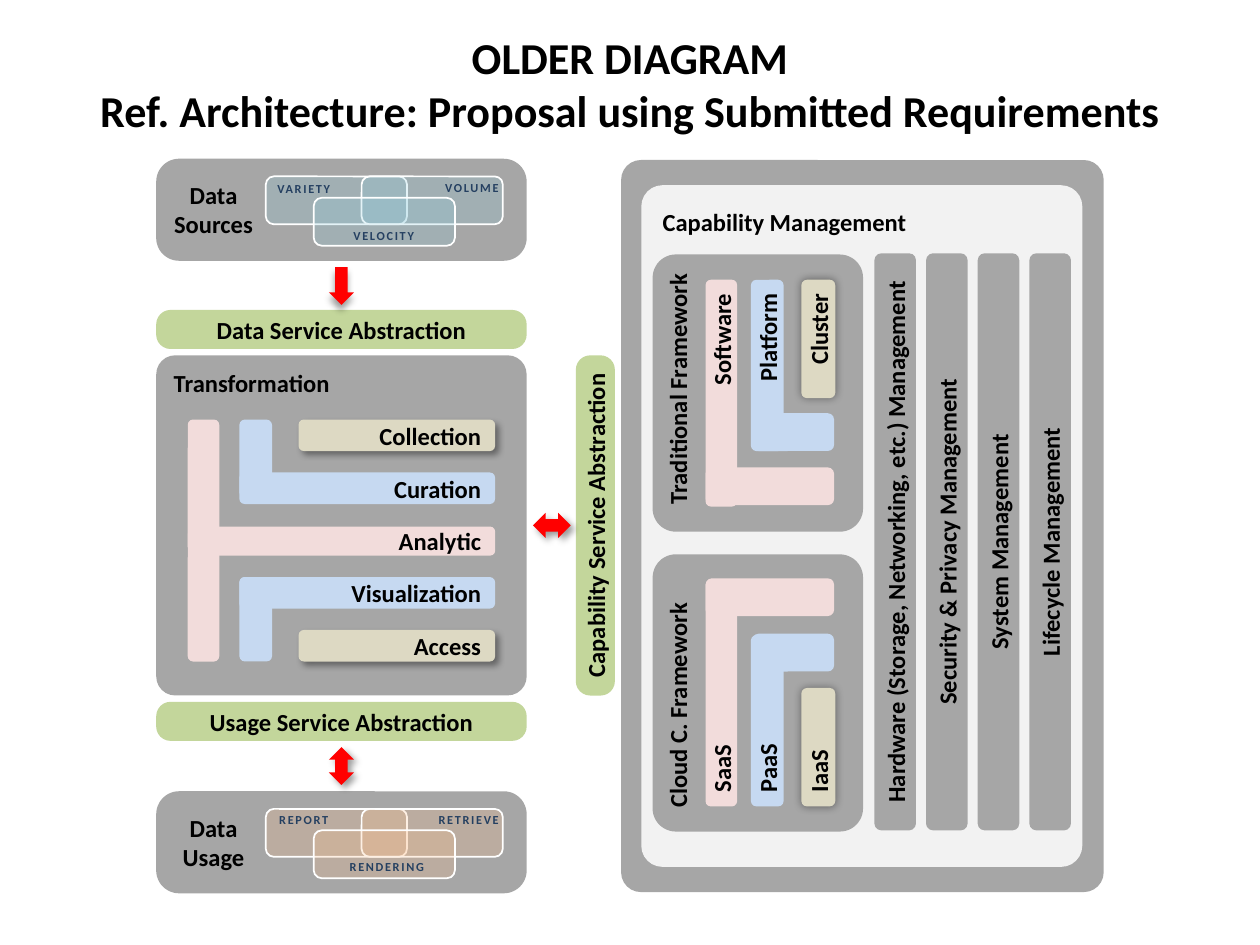
"""Build the reference architecture slide."""
from lxml import etree
from pptx import Presentation
from pptx.dml.color import RGBColor
from pptx.enum.shapes import MSO_SHAPE as Kind
from pptx.enum.text import MSO_ANCHOR as Anchor, PP_ALIGN as Align
from pptx.oxml.ns import qn
from pptx.util import Inches, Pt

BLACK = RGBColor(0, 0, 0)
WHITE = RGBColor(255, 255, 255)
NAVY = RGBColor(0x25, 0x40, 0x61)
GRAY = RGBColor(0xA6, 0xA6, 0xA6)
PALE = RGBColor(0xF2, 0xF2, 0xF2)
GREEN = RGBColor(0xC3, 0xD6, 0x9B)
PINK = RGBColor(0xF2, 0xDC, 0xDB)
BLUE = RGBColor(0xC6, 0xD9, 0xF1)
TAN = RGBColor(0xDD, 0xD9, 0xC3)
RED = RGBColor(255, 0, 0)
TEAL = RGBColor(0x93, 0xCD, 0xDD)
PEACH = RGBColor(0xFA, 0xC0, 0x90)


class Board:
    """Hold the text style and the slide being drawn."""

    font = "Calibri"
    size = 14

    def __init__(self, slide):
        self.slide = slide

    def place(self, at, turn):
        x, y, w, h = at
        if turn:
            x, y, w, h = x + (w - h) / 2, y + (h - w) / 2, h, w
        return [Inches(n) for n in (x, y, w, h)]

    def letter(self, shape, text, align, size=None, color=BLACK, gap=0):
        frame = shape.text_frame
        frame.text = text
        for para in frame.paragraphs:
            para.alignment = align
            font = para.font
            font.name, font.size = self.font, Pt(size or self.size)
            font.bold, font.color.rgb = True, color
            if gap:
                for run in para.runs:
                    run._r.get_or_add_rPr().set("spc", str(gap))

    def box(self, at, fill, text="", align=Align.CENTER, turn=False,
            round=None, kind=Kind.ROUNDED_RECTANGLE, shade=None):
        shape = self.slide.shapes.add_shape(kind, *self.place(at, turn))
        shape.rotation = 270 if turn else 0
        if round:
            shape.adjustments[0] = round
        shape.fill.solid()
        shape.fill.fore_color.rgb = fill
        shape.line.fill.background()
        shape.shadow.inherit = False
        if shade:
            self.shade(shape, *shade)
        if text:
            shape.text_frame.word_wrap = True
            shape.text_frame.vertical_anchor = Anchor.MIDDLE
            self.letter(shape, text, align)
        return shape

    def shade(self, shape, blur, far, angle):
        effects = shape._element.spPr.find(qn("a:effectLst"))
        cast = etree.SubElement(
            effects, qn("a:outerShdw"), blurRad=str(Pt(blur)),
            dist=str(Pt(far)), dir=str(angle * 60000), rotWithShape="0")
        color = etree.SubElement(cast, qn("a:srgbClr"), val=str(BLACK))
        etree.SubElement(color, qn("a:alpha"), val="40000")

    def label(self, at, text, align=Align.LEFT, turn=False, wrap=True, **style):
        shape = self.slide.shapes.add_textbox(*self.place(at, turn))
        shape.rotation = 270 if turn else 0
        shape.text_frame.word_wrap = wrap
        self.letter(shape, text, align, **style)
        return shape

    def tag(self, at, text):
        shape = self.label(at, text, Align.CENTER, size=7, color=NAVY, gap=100)
        shape.text_frame.margin_left = Inches(0.05)
        shape.text_frame.margin_right = 0

    def lens(self, at, fill):
        shape = self.box(at, fill, kind=Kind.FLOWCHART_ALTERNATE_PROCESS)
        color = shape._element.spPr.find(qn("a:solidFill"))[0]
        etree.SubElement(color, qn("a:alpha"), val="25000")
        shape.line.color.rgb = WHITE
        shape.line.width = Pt(1)

    def data(self, top, name, fill, tags):
        self.box((1.24, top, 2.94, 0.81), GRAY, round=0.224)
        self.label((1.28, top + 0.12, 0.83, 0.57), name, Align.CENTER)
        for x, y in ((2.11, 0.14), (2.87, 0.14), (2.49, 0.31)):
            self.lens((x, top + y, 1.12, 0.38), fill)
        for x, y, w, text in tags:
            self.tag((x, top + y, w, 0.28), text)


deck = Presentation()
deck.slide_width, deck.slide_height = Inches(10), Inches(7.5)
board = Board(deck.slides.add_slide(deck.slide_layouts[6]))
DROP = (4, 3, 45)
GLOW = (5, 0, 0)

title = board.label((0.21, 0.25, 9.58, 0.83),
                    "OLDER DIAGRAM\vRef. Architecture: Proposal using "
                    "Submitted Requirements", Align.CENTER, size=25.2)
title.text_frame.vertical_anchor = Anchor.MIDDLE

board.data(1.26, "Data\nSources", TEAL, (
    (3.47, 0.12, 0.5, "VOLUME"), (2.09, 0.13, 0.59, "VARIETY"),
    (2.71, 0.5, 0.62, "VELOCITY")))
board.data(6.28, "Data\nUsage", PEACH, (
    (3.41, 0.12, 0.57, "RETRIEVE"), (2.09, 0.12, 0.59, "REPORT"),
    (2.68, 0.49, 0.73, "RENDERING")))

board.box((1.24, 2.82, 2.94, 2.7), GRAY, round=0.056)
board.label((1.28, 2.87, 1.45, 0.34), "Transformation", wrap=False)
for at, fill in (((1.9, 3.33, 0.26, 0.62), BLUE),
                 ((1.49, 3.33, 0.25, 1.05), PINK),
                 ((1.49, 4.2, 0.25, 1.05), PINK),
                 ((1.9, 4.58, 0.26, 0.67), BLUE)):
    board.box(at, fill)
for x, y, w, h, fill, text, shade in (
        (2.37, 3.33, 1.56, 0.25, TAN, "Collection", DROP),
        (1.9, 3.75, 2.03, 0.25, BLUE, "Curation", None),
        (1.51, 4.18, 2.42, 0.23, PINK, "Analytic", None),
        (1.9, 4.58, 2.03, 0.25, BLUE, "Visualization", None),
        (2.37, 5, 1.56, 0.25, TAN, "Access", DROP)):
    board.box((x, y, w, h), fill, text, Align.RIGHT, shade=shade)

for at, text, turn in (
        ((1.24, 2.46, 2.94, 0.31), "Data Service Abstraction", False),
        ((1.24, 5.57, 2.94, 0.31), "Usage Service Abstraction", False),
        ((4.57, 2.82, 0.31, 2.7), "Capability Service Abstraction", True)):
    board.box(at, GREEN, text, turn=turn, round=0.367)

board.box((4.93, 1.27, 3.83, 5.81), GRAY, round=0.041)
board.box((5.09, 1.47, 3.5, 5.41), PALE, round=0.048)
board.label((5.16, 1.59, 2.15, 0.34), "Capability Management", wrap=False)

BARS = ((5.6, 0.25, 1.8, PINK, None), (5.96, 0.26, 1.36, BLUE, None),
        (6.36, 0.27, 0.94, TAN, GLOW))
for top, name, start, high, words, feet, align in (
        (2.02, "Traditional Framework", 2, 2.1,
         ("Software", "Platform", "Cluster"), (3.71, 3.28), Align.RIGHT),
        (4.4, "Cloud C. Framework", 4.68, 1.83,
         ("SaaS", "PaaS", "IaaS"), (4.59, 5.03), Align.LEFT)):
    board.box((5.18, top, 1.67, 2.2), GRAY, round=0.11)
    board.label((5.21, start, 0.34, high), name, turn=True)
    for x, y, w, fill in zip((5.6, 5.97), feet, (1.02, 0.65), (PINK, BLUE)):
        board.box((x, y, w, 0.3), fill)
    for (x, w, h, fill, shade), text in zip(BARS, words):
        y = top + 0.2 if align == Align.RIGHT else top + 2 - h
        board.box((x, y, w, h), fill, text, align, turn=True, shade=shade)

for i, name in enumerate(("Hardware (Storage, Networking, etc.)",
                          "Security & Privacy", "System", "Lifecycle")):
    board.box((6.94 + 0.41 * i, 2.01, 0.33, 4.58), GRAY,
              name + " Management", turn=True)

for at, kind, shade in (
        ((2.61, 2.12, 0.2, 0.3), Kind.DOWN_ARROW, (4, 3, 90)),
        ((4.23, 4.07, 0.3, 0.2), Kind.LEFT_RIGHT_ARROW, DROP),
        ((2.61, 5.93, 0.2, 0.3), Kind.UP_DOWN_ARROW, DROP)):
    board.box(at, RED, kind=kind, shade=shade)

deck.save("out.pptx")
